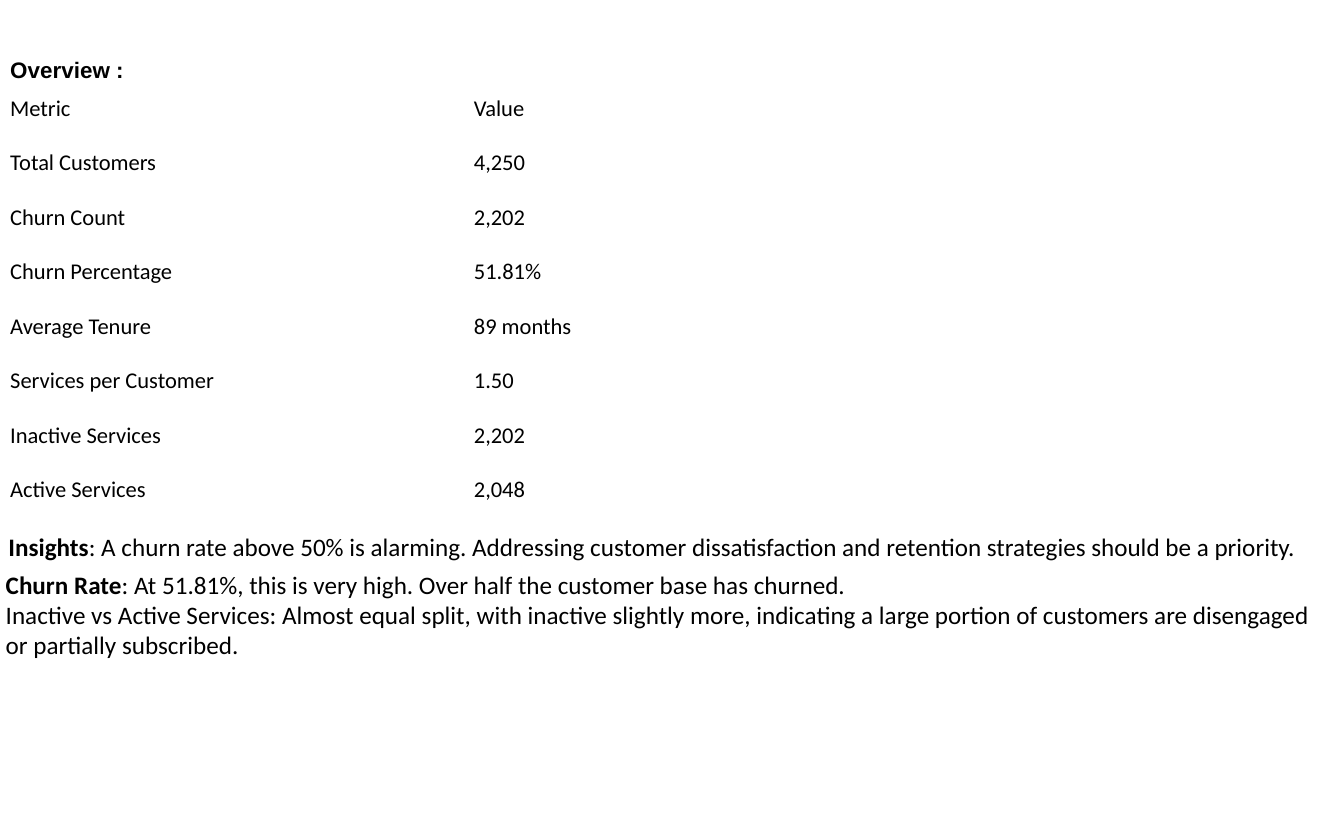
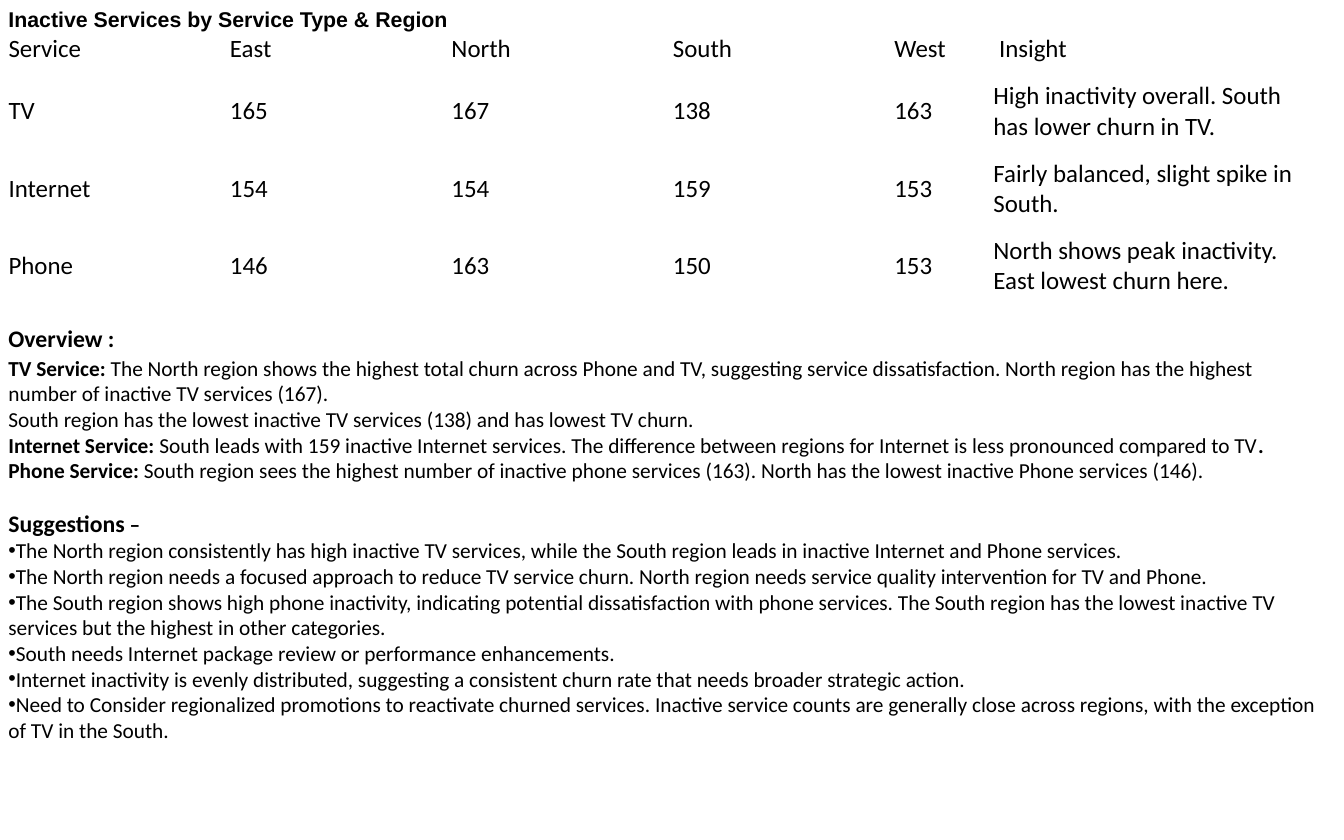
from dataclasses import dataclass

from lxml.etree import SubElement
from pptx import Presentation
from pptx.dml.color import RGBColor
from pptx.enum.text import MSO_ANCHOR
from pptx.oxml.ns import qn
from pptx.util import Inches, Pt


@dataclass(frozen=True)
class Theme:
    """Colours, fonts, type sizes in points and insets in inches."""
    ink: RGBColor = RGBColor(0, 0, 0)
    title_font: str = "Arial"
    body_font: str = "Calibri"
    title: float = 18
    title_large: float = 18.9
    heading: float = 20
    body: float = 18
    lead: float = 21.2
    table: float = 21
    table_small: float = 19
    blank_line: float = 22
    pad: tuple = (0.1, 0.05)
    pad_wide: tuple = (0.12, 0.06)


THEME = Theme()


def write(p, text, size=THEME.body, bold=False, font=THEME.body_font, color=THEME.ink):
    """Add text to a paragraph; ** marks switch bold on and off."""
    for i, part in enumerate(text.split("**")):
        if part:
            r = p.add_run()
            r.text = part
            r.font.size = Pt(size)
            r.font.name = font
            r.font.bold = bold or i % 2 == 1
            r.font.color.rgb = color


def set_bullet(p):
    """Give a paragraph a bullet that sits right against its text."""
    pPr = p._p.get_or_add_pPr()
    pPr.set("marL", "0")
    pPr.set("indent", "0")
    SubElement(pPr, qn("a:buFont")).set("typeface", "Arial")
    SubElement(pPr, qn("a:buChar")).set("char", "•")


def set_insets(target, pad):
    """Set side and top insets of a text frame or a cell."""
    target.margin_left = target.margin_right = Inches(pad[0])
    target.margin_top = target.margin_bottom = Inches(pad[1])


class Deck:
    """Holds the style and current slide; lengths are percent of slide size."""

    def __init__(self, prs, theme):
        self.prs, self.theme, self.slide = prs, theme, None

    def x(self, share):
        """Turn a percentage of the slide width into a length."""
        return int(self.prs.slide_width * share / 100)

    def y(self, share):
        """Turn a percentage of the slide height into a length."""
        return int(self.prs.slide_height * share / 100)

    def new_slide(self):
        """Start a blank slide."""
        self.slide = self.prs.slides.add_slide(self.prs.slide_layouts[6])

    def text_box(self, left, top, width, height, pad=THEME.pad):
        """Add an empty wrapping text box and return its frame."""
        sp = self.slide.shapes.add_textbox(
            self.x(left), self.y(top), self.x(width), self.y(height))
        tf = sp.text_frame
        tf.word_wrap = True
        set_insets(tf, pad)
        return tf

    def title(self, text, top, size, pad=THEME.pad):
        """Add a slide title."""
        tf = self.text_box(0, top, 40, 5, pad)
        write(tf.paragraphs[0], text, size=size, bold=True, font=self.theme.title_font)

    def paragraphs(self, tf, texts, bullet=False, **fmt):
        """Add paragraphs to a frame, starting with its first empty one."""
        for text in texts:
            p = tf.paragraphs[0]
            if p.runs:
                p = tf.add_paragraph()
            if bullet:
                set_bullet(p)
            write(p, text, **fmt)

    def table(self, top, widths, heights, rows, size, pad=THEME.pad):
        """Add a plain table without fills."""
        table = self.slide.shapes.add_table(
            len(heights), len(widths), 0, self.y(top),
            self.x(sum(widths)), self.y(sum(heights))).table
        table.first_row = table.horz_banding = False
        for column, width in zip(table.columns, widths):
            column.width = self.x(width)
        for row, height, texts in zip(table.rows, heights, rows):
            row.height = self.y(height)
            for cell, text in zip(row.cells, texts):
                cell.fill.background()
                cell.vertical_anchor = MSO_ANCHOR.MIDDLE
                set_insets(cell, pad)
                write(cell.text_frame.paragraphs[0], text, size=size)


METRICS = [
    ("Metric", "Value"),
    ("Total Customers", "4,250"),
    ("Churn Count", "2,202"),
    ("Churn Percentage", "51.81%"),
    ("Average Tenure", "89 months"),
    ("Services per Customer", "1.50"),
    ("Inactive Services", "2,202"),
    ("Active Services", "2,048"),
]
INSIGHTS = [
    "**Insights**: A churn rate above 50% is alarming. Addressing customer dissatisfaction "
    "and retention strategies should be a priority.",
]
CHURN_RATE = [
    "**Churn Rate**: At 51.81%, this is very high. Over half the customer base has churned.",
    "Inactive vs Active Services: Almost equal split, with inactive slightly more, indicating "
    "a large portion of customers are disengaged or partially subscribed.",
]
REGIONS = [
    ("Service", "East", "North", "South", "West", " Insight"),
    ("TV", "165", "167", "138", "163", "High inactivity overall. South has lower churn in TV."),
    ("Internet", "154", "154", "159", "153", "Fairly balanced, slight spike in South."),
    ("Phone", "146", "163", "150", "153", "North shows peak inactivity. East lowest churn here."),
]
SERVICES = [
    "**TV Service:** The North region shows the highest total churn across Phone and TV, "
    "suggesting service dissatisfaction. North region has the highest number of inactive "
    "TV services (167).",
    "South region has the lowest inactive TV services (138) and has lowest TV churn.",
    "**Internet Service:** South leads with 159 inactive Internet services. The difference "
    "between regions for Internet is less pronounced compared to TV**.**",
    "**Phone Service:** South region sees the highest number of inactive phone services (163). "
    "North has the lowest inactive Phone services (146).",
]
SUGGESTIONS = [
    "The North region consistently has high inactive TV services, while the South region "
    "leads in inactive Internet and Phone services.",
    "The North region needs a focused approach to reduce TV service churn. North region needs "
    "service quality intervention for TV and Phone.",
    "The South region shows high phone inactivity, indicating potential dissatisfaction with "
    "phone services. The South region has the lowest inactive TV services but the highest in "
    "other categories.",
    "South needs Internet package review or performance enhancements.",
    "Internet inactivity is evenly distributed, suggesting a consistent churn rate that needs "
    "broader strategic action.",
    "Need to Consider regionalized promotions to reactivate churned services. Inactive service "
    "counts are generally close across regions, with the exception of TV in the South.",
]


def overview_slide(deck):
    """Build the overview of churn metrics."""
    th = deck.theme
    deck.new_slide()
    deck.table(9.65, [34.5] * 2, [6.49] * len(METRICS), METRICS, th.table_small, th.pad_wide)
    deck.title("Overview :", 6.1, th.title_large, th.pad_wide)
    deck.paragraphs(deck.text_box(0, 62.7, 98.35, 4.7), INSIGHTS, size=th.lead)
    deck.paragraphs(deck.text_box(-0.2, 67.28, 98.35, 11.9), CHURN_RATE, size=th.lead)


def region_slide(deck):
    """Build the inactive services by type and region."""
    th = deck.theme
    deck.new_slide()
    deck.table(3.56, [16.48] * 4 + [7.37, 25.59], [4.62, 10.16, 8.23, 10.16], REGIONS, th.table)
    deck.title("Inactive Services by Service Type & Region", 0.2, th.title)
    deck.paragraphs(deck.text_box(0, 38, 19, 4.5), ["Overview :"], size=th.heading, bold=True)
    tf = deck.text_box(0, 41.77, 98.8, 58)
    deck.paragraphs(tf, SERVICES)
    p = tf.add_paragraph()
    p.space_before = Pt(th.blank_line)
    write(p, "Suggestions", size=th.heading, bold=True)
    write(p, " –", bold=True)
    deck.paragraphs(tf, SUGGESTIONS, bullet=True)


def main():
    """Build and save the presentation."""
    prs = Presentation()
    prs.slide_width, prs.slide_height = Inches(15.75), Inches(9.84)
    deck = Deck(prs, THEME)
    overview_slide(deck)
    region_slide(deck)
    prs.save("out.pptx")


if __name__ == "__main__":
    main()
